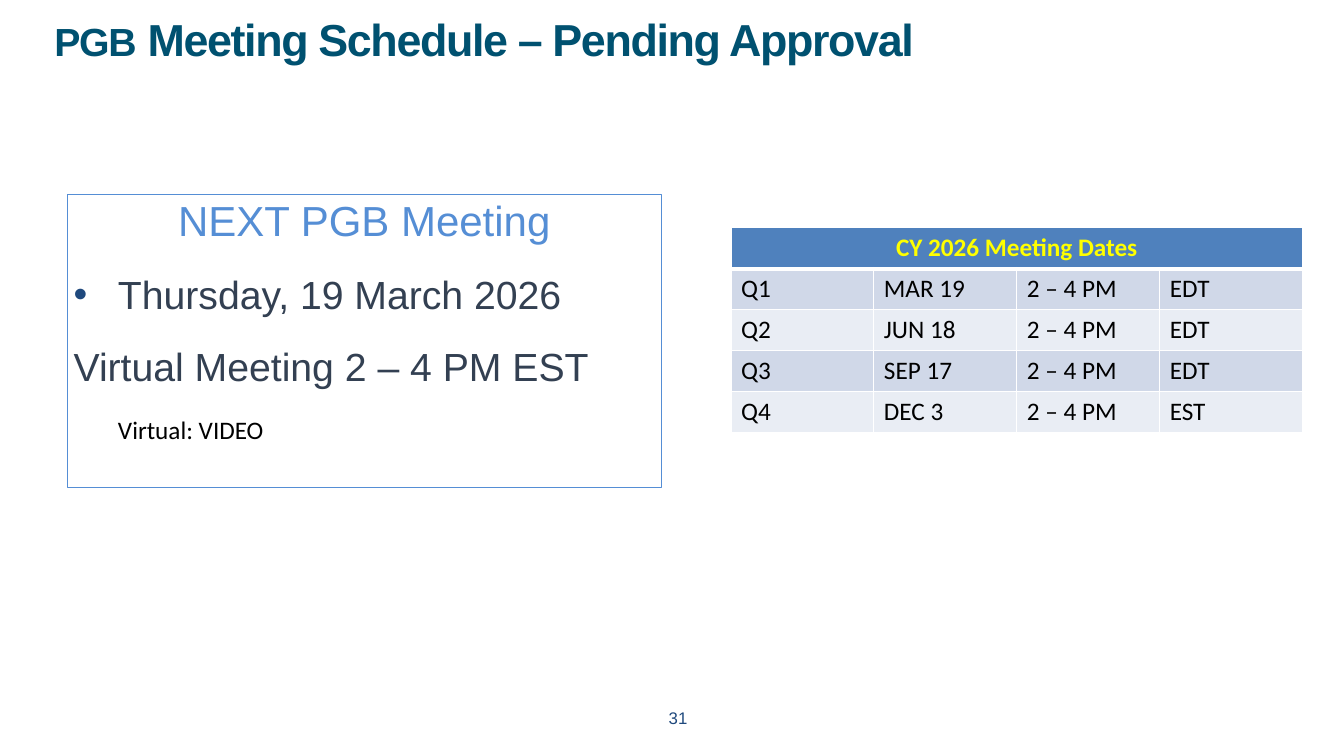
from dataclasses import dataclass

from lxml import etree
from pptx import Presentation
from pptx.dml.color import RGBColor
from pptx.enum.text import MSO_ANCHOR, MSO_AUTO_SIZE, PP_ALIGN
from pptx.oxml.ns import qn
from pptx.util import Inches, Pt

LEFT, CENTER = PP_ALIGN.LEFT, PP_ALIGN.CENTER
TOP = MSO_ANCHOR.TOP
NO_AUTOFIT = MSO_AUTO_SIZE.NONE

TEAL = RGBColor(0x00, 0x51, 0x70)
SKY = RGBColor(0x55, 0x8E, 0xD5)
SLATE = RGBColor(0x33, 0x40, 0x52)
NAVY = RGBColor(0x1F, 0x49, 0x7D)
BLACK = RGBColor(0x00, 0x00, 0x00)
WHITE = RGBColor(0xFF, 0xFF, 0xFF)
YELLOW = RGBColor(0xFF, 0xFF, 0x00)
HEADER_BLUE = RGBColor(0x4F, 0x81, 0xBD)
BANDS = (RGBColor(0xD0, 0xD8, 0xE8), RGBColor(0xE9, 0xED, 0xF4))


@dataclass(frozen=True)
class Style:
    size: int
    color: RGBColor
    font: str = "Arial"
    bold: bool = False
    spacing: int = 0


@dataclass(frozen=True)
class MeetingLine:
    text: str
    style: Style
    align: PP_ALIGN = LEFT
    level: int = 0
    margin: float = 0
    indent: float = 0
    bullet: str = ""


@dataclass(frozen=True)
class Meeting:
    quarter: str
    date: str
    time: str
    zone: str


DETAIL = Style(28, SLATE)
CELL_STYLE = Style(18, BLACK, "Calibri")
HEADER_STYLE = Style(18, YELLOW, "Calibri", bold=True)

MEETING_LINES = (
    MeetingLine("NEXT PGB Meeting", Style(30, SKY), align=CENTER),
    MeetingLine("Thursday, 19 March 2026", DETAIL, margin=0.5, indent=-0.44, bullet="•"),
    MeetingLine("Virtual Meeting 2 – 4 PM EST", DETAIL, margin=0.5, indent=-0.44),
    MeetingLine("Virtual: VIDEO", CELL_STYLE, level=1, margin=0.94, indent=-0.44),
)
MEETINGS = (
    Meeting("Q1", "MAR 19", "2 – 4 PM", "EDT"),
    Meeting("Q2", "JUN 18", "2 – 4 PM", "EDT"),
    Meeting("Q3", "SEP 17", "2 – 4 PM", "EDT"),
    Meeting("Q4", "DEC 3", "2 – 4 PM", "EST"),
)


def place(shape, left: float, top: float, width: float, height: float) -> None:
    shape.left, shape.top = Inches(left), Inches(top)
    shape.width, shape.height = Inches(width), Inches(height)


def add_run(paragraph, text: str, style: Style) -> None:
    run = paragraph.add_run()
    run.text = text
    run.font.name = style.font
    run.font.size = Pt(style.size)
    run.font.bold = style.bold
    run.font.color.rgb = style.color
    if style.spacing:
        run.font._element.set("spc", str(style.spacing))


def set_bullet(paragraph, line: MeetingLine) -> None:
    """Set the indents and the bullet of a paragraph."""
    properties = paragraph._p.get_or_add_pPr()
    properties.set("marL", str(Inches(line.margin)))
    properties.set("indent", str(Inches(line.indent)))
    if not line.bullet:
        etree.SubElement(properties, qn("a:buNone"))
        return
    color = etree.SubElement(properties, qn("a:buClr"))
    etree.SubElement(color, qn("a:srgbClr"), val=str(NAVY))
    etree.SubElement(properties, qn("a:buFont"), typeface="Arial")
    etree.SubElement(properties, qn("a:buChar"), char=line.bullet)


def set_borders(cell, top: int, bottom: int) -> None:
    """Draw white cell borders; top and bottom are widths in points."""
    properties = cell._tc.get_or_add_tcPr()
    for side, width in (("L", 1), ("R", 1), ("T", top), ("B", bottom)):
        border = etree.SubElement(properties, qn(f"a:ln{side}"), w=str(Pt(width)))
        fill = etree.SubElement(border, qn("a:solidFill"))
        etree.SubElement(fill, qn("a:srgbClr"), val=str(WHITE))


def fill_cell(cell, color: RGBColor, top: int, bottom: int) -> None:
    set_borders(cell, top, bottom)
    cell.fill.solid()
    cell.fill.fore_color.rgb = color


def add_title(slide) -> None:
    title = slide.shapes.title
    place(title, 0.44, 0.07, 11.93, 1.06)
    frame = title.text_frame
    frame.auto_size = NO_AUTOFIT
    frame.vertical_anchor = TOP
    paragraph = frame.paragraphs[0]
    paragraph.alignment = LEFT
    add_run(paragraph, "PGB", Style(28, TEAL, bold=True, spacing=-100))
    add_run(paragraph, " Meeting Schedule – Pending Approval",
            Style(32, TEAL, bold=True, spacing=-100))


def add_next_meeting(slide) -> None:
    body = slide.placeholders[1]
    place(body, 0.67, 1.93, 5.89, 2.91)
    body.line.color.rgb = SKY
    body.line.width = Pt(0.75)
    frame = body.text_frame
    frame.auto_size = NO_AUTOFIT
    frame.vertical_anchor = TOP
    frame.margin_left = frame.margin_right = 0
    frame.margin_top = frame.margin_bottom = 0
    for index, line in enumerate(MEETING_LINES):
        paragraph = frame.add_paragraph() if index else frame.paragraphs[0]
        paragraph.alignment = line.align
        paragraph.level = line.level
        paragraph.space_before = Pt(6)
        paragraph.space_after = Pt(12)
        set_bullet(paragraph, line)
        add_run(paragraph, line.text, line.style)


def add_schedule(slide) -> None:
    frame = slide.shapes.add_table(len(MEETINGS) + 1, 4, Inches(7.25), Inches(2.26),
                                   Inches(5.67), Inches(2.03))
    table = frame.table
    for cell in table.rows[0].cells:
        fill_cell(cell, HEADER_BLUE, top=1, bottom=3)
    header = table.cell(0, 0)
    header.merge(table.cell(0, 3))
    paragraph = header.text_frame.paragraphs[0]
    paragraph.alignment = CENTER
    add_run(paragraph, "CY 2026 Meeting Dates", HEADER_STYLE)
    for row, meeting in enumerate(MEETINGS, start=1):
        values = (meeting.quarter, meeting.date, meeting.time, meeting.zone)
        for column, value in enumerate(values):
            cell = table.cell(row, column)
            fill_cell(cell, BANDS[(row - 1) % 2], top=3 if row == 1 else 1, bottom=1)
            add_run(cell.text_frame.paragraphs[0], value, CELL_STYLE)


def add_page_number(slide) -> None:
    box = slide.shapes.add_textbox(Inches(5.17), Inches(6.97), Inches(3.11), Inches(0.4))
    box.text_frame.word_wrap = True
    paragraph = box.text_frame.paragraphs[0]
    paragraph.alignment = CENTER
    add_run(paragraph, "31", Style(12, NAVY))


def main() -> None:
    presentation = Presentation()
    presentation.slide_width = Inches(13.33)
    presentation.slide_height = Inches(7.5)
    slide = presentation.slides.add_slide(presentation.slide_layouts[1])
    add_title(slide)
    add_next_meeting(slide)
    add_page_number(slide)
    add_schedule(slide)
    presentation.save("out.pptx")


if __name__ == "__main__":
    main()
